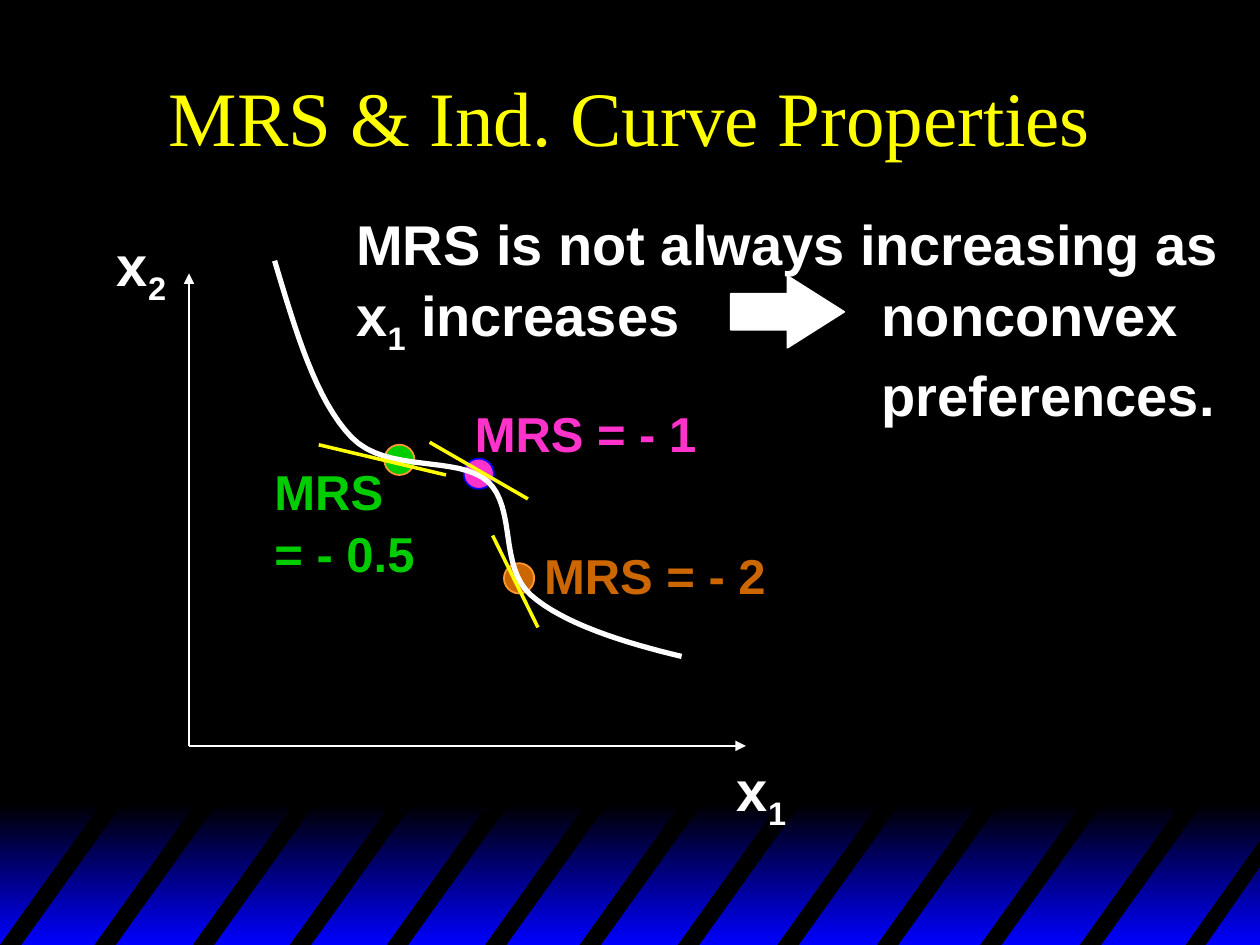
from pptx import Presentation
from pptx import util as u
from pptx.dml.color import RGBColor
from pptx.enum import shapes, text
from pptx.oxml.ns import qn
from lxml import etree

COLORS = {
    "black": "000000", "blue": "0000FF", "white": "FFFFFF", "yellow": "FFFF00",
    "pink": "FF33CC", "green": "00CC00", "brown": "CC6600", "orange": "FF9933",
}


def rgb(name):
    return RGBColor.from_string(COLORS[name])


def bezier(points, steps=16):
    """Points along a chain of cubic curves."""
    out = [points[0]]
    for k in range(0, len(points) - 1, 3):
        a, b, c, d = points[k:k + 4]
        for n in range(1, steps + 1):
            t = n / steps
            s = 1 - t
            out.append(tuple(s**3 * a[i] + 3 * s * s * t * b[i] + 3 * s * t * t * c[i]
                             + t**3 * d[i] for i in (0, 1)))
    return out


class Deck:
    font = "Arial"
    line_spacing = 1.05

    def __init__(self, prs):
        self.slide = prs.slides.add_slide(prs.slide_layouts[5])
        self.shapes = self.slide.shapes
        fill = self.slide.background.fill
        fill.solid()
        fill.fore_color.rgb = rgb("black")

    def paint(self, sp, fill=None, line=None, width=1):
        sp.shadow.inherit = False
        if fill:
            sp.fill.solid()
            sp.fill.fore_color.rgb = rgb(fill)
        else:
            sp.fill.background()
        if line:
            sp.line.color.rgb = rgb(line)
            sp.line.width = u.Pt(width)
        else:
            sp.line.fill.background()

    def title(self, words, x, y, w, h):
        sp = self.shapes.title
        sp.left, sp.top, sp.width, sp.height = map(u.Inches, (x, y, w, h))
        tf = sp.text_frame
        tf.vertical_anchor = text.MSO_ANCHOR.MIDDLE
        p = tf.paragraphs[0]
        p.alignment = text.PP_ALIGN.CENTER
        self.run(p, words, 44, "yellow", font="Times New Roman", bold=False)

    def run(self, p, words, size, color, font=None, bold=True, sub=False):
        for n, part in enumerate(words.split("\n")):
            if n:
                p.add_line_break()
            r = p.add_run()
            r.text = part
            r.font.name = font or self.font
            r.font.size = u.Pt(size)
            r.font.bold = bold
            r.font.color.rgb = rgb(color)
            if sub:
                r.font._element.set("baseline", "-25000")

    def text(self, runs, x, y, w, h, size=32, color="white", wrap=True, tab=None):
        """Runs alternate between normal and subscript text."""
        sp = self.shapes.add_textbox(*map(u.Inches, (x, y, w, h)))
        tf = sp.text_frame
        tf.word_wrap = wrap
        p = tf.paragraphs[0]
        p.line_spacing = self.line_spacing
        if tab:
            tabs = etree.SubElement(p._p.get_or_add_pPr(), qn("a:tabLst"))
            etree.SubElement(tabs, qn("a:tab"), pos=str(u.Inches(tab)), algn="l")
        for n, words in enumerate(runs):
            self.run(p, words, size, color, sub=n % 2 == 1)

    def shape(self, kind, x, y, w, h, **style):
        sp = self.shapes.add_shape(kind, *map(u.Inches, (x, y, w, h)))
        self.paint(sp, **style)
        return sp

    def free(self, points, close=True, **style):
        pts = [(u.Inches(x), u.Inches(y)) for x, y in points]
        fb = self.shapes.build_freeform(*pts[0])
        fb.add_line_segments(pts[1:], close=close)
        self.paint(fb.convert_to_shape(), **style)

    def line(self, x1, y1, x2, y2, color, width, arrow=False):
        cn = self.shapes.add_connector(shapes.MSO_CONNECTOR.STRAIGHT,
                                       *map(u.Inches, (x1, y1, x2, y2)))
        cn.line.color.rgb = rgb(color)
        cn.line.width = u.Pt(width)
        if arrow:
            etree.SubElement(cn.line._get_or_add_ln(), qn("a:tailEnd"), type="triangle")
        etree.SubElement(cn._element.spPr, qn("a:effectLst"))


def main():
    prs = Presentation()
    prs.slide_width, prs.slide_height = u.Inches(10), u.Inches(7.5)
    s = Deck(prs)
    kinds = shapes.MSO_SHAPE

    # Blue band with slanted black stripes
    band = s.shape(kinds.RECTANGLE, 0, 6.38, 10, 1.12)
    band.fill.gradient()
    band.fill.gradient_angle = 270
    for stop, name in zip(band.fill.gradient_stops, ("black", "blue")):
        stop.color.rgb = rgb(name)
    top, bottom, slant, thick = 6.34, 7.5, 0.83, 0.17
    for x in (0, 0.75, 1.53, 2.3, 3.07, 3.85, 4.6, 5.38, 6.17, 6.96, 7.78, 8.57):
        s.free([(x, bottom), (x + slant, top), (x + slant + thick, top),
                (x + thick, bottom)], fill="black")
    s.free([(9.41, bottom), (10, 6.67), (10, 6.88), (9.57, bottom)], fill="black")

    s.title("MRS & Ind. Curve Properties", 0.75, 0.25, 8.5, 1.33)

    # Axes
    s.line(1.5, 5.92, 1.5, 2.17, "white", 1, arrow=True)
    s.line(1.5, 5.92, 5.92, 5.92, "white", 1, arrow=True)
    s.text(["x", "2"], 0.83, 1.75, 0.67, 0.71)
    s.text(["x", "1"], 5.75, 5.92, 0.75, 0.71)

    # Points on the curve
    for x, y, fill, line in ((3.68, 3.64, "pink", "blue"), (3.05, 3.53, "green", "orange"),
                             (4, 4.47, "brown", "orange")):
        s.shape(kinds.OVAL, x, y, 0.24, 0.24, fill=fill, line=line)

    # Slope labels
    for words, x, y, w, h, color in (("MRS\n= - 0.5", 2.08, 3.59, 1.31, 1.04, "green"),
                                     ("MRS = - 1", 3.67, 3.13, 1.96, 0.57, "pink"),
                                     ("MRS = - 2", 4.22, 4.26, 1.96, 0.57, "brown")):
        s.text([words], x, y, w, h, size=28, color=color, wrap=False)

    # Statement and arrow
    s.text(["MRS is not always increasing as x", "1", " increases\tnonconvex\n\tpreferences."],
           2.73, 1.59, 7.27, 1.78, tab=4.17)
    arrow = s.shape(kinds.RIGHT_ARROW, 5.8, 2.19, 0.9, 0.57, fill="white", line="white")
    arrow.adjustments[1] = 0.79

    # Indifference curve and its tangents
    s.free(bezier([(2.18, 2.07), (2.35, 2.64), (2.51, 3.18), (2.79, 3.47),
                   (3.07, 3.76), (3.63, 3.61), (3.87, 3.82),
                   (4.1, 4.03), (3.96, 4.49), (4.21, 4.72),
                   (4.47, 4.95), (4.95, 5.1), (5.41, 5.21)]),
           close=False, line="white", width=3)
    for ends in ((2.53, 3.53, 3.54, 3.77), (3.91, 4.25, 4.27, 4.98), (3.41, 3.51, 4.19, 3.96)):
        s.line(*ends, "yellow", 2)

    prs.save("out.pptx")


if __name__ == "__main__":
    main()
